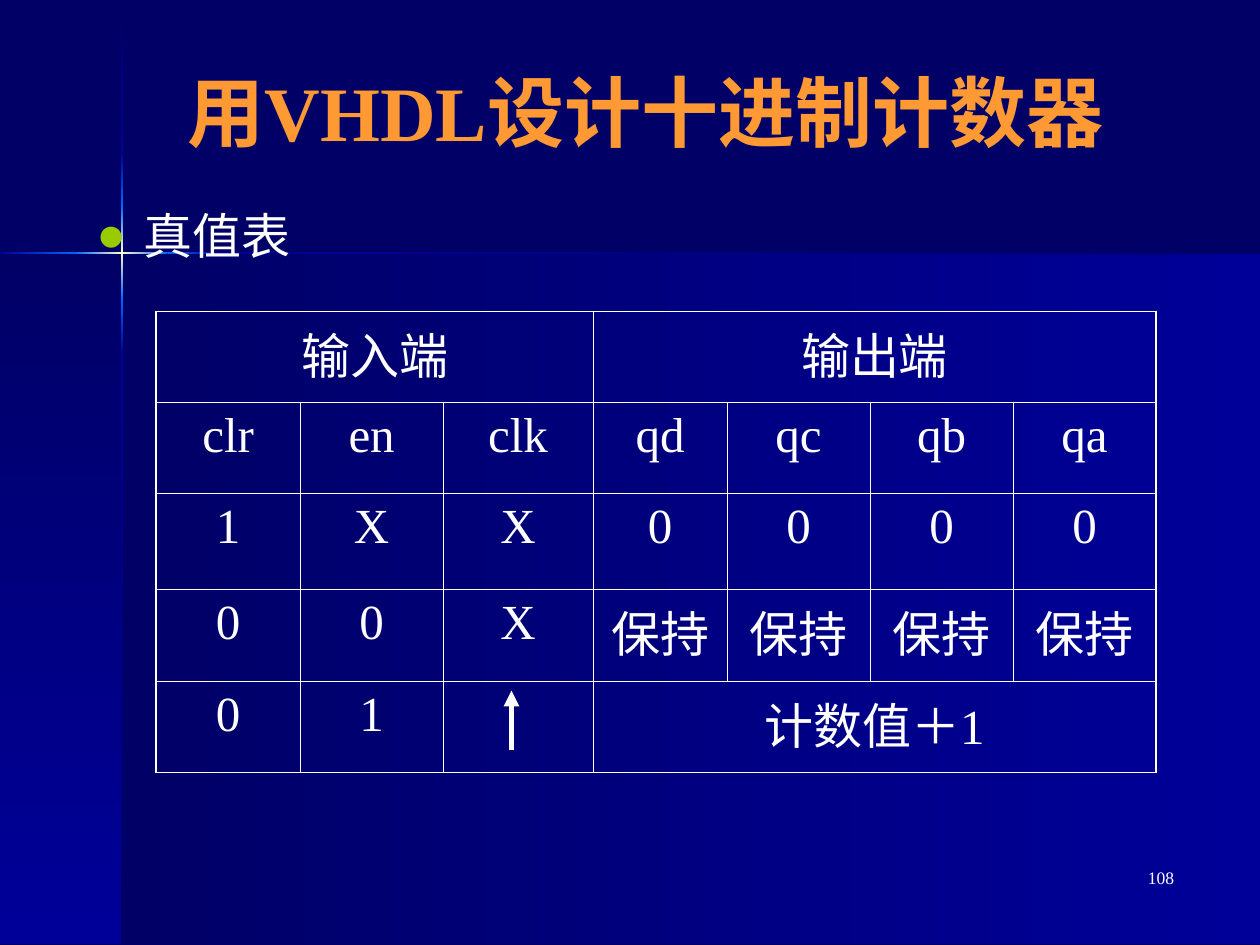
"""Build the slide with the truth table of a decimal counter."""
from lxml import etree
from pptx import Presentation
from pptx.dml.color import RGBColor
from pptx.enum import shapes, text
from pptx.oxml import ns, parse_xml
from pptx.util import Pt

FACE = "Times New Roman"
WHITE, ORANGE, LIME = "FFFFFF", "FF9933", "99CC00"
NAVY, ROYAL, AZURE, CREAM = "000066", "000099", "0066FF", "FFFFCC"
ACROSS, DOWN = 0, 90

TITLE = "用VHDL设计十进制计数器"
TOPIC = "真值表"
PAGE = "108"
TRUTH = [
    ["输入端", None, None, "输出端", None, None, None],
    ["clr", "en", "clk", "qd", "qc", "qb", "qa"],
    ["1", "X", "X", "0", "0", "0", "0"],
    ["0", "0", "X", "保持", "保持", "保持", "保持"],
    ["0", "1", "", "计数值＋1", None, None, None],
]
COLUMNS = [82.3, 81.7, 85.7, 76.6, 81.7, 81.7, 81.7]
ROWS = [52, 52, 55, 52.5, 52]
TABLE_LEFT, TABLE_TOP = 89.2, 178
THIN, THICK = 0.45, 1.08

PANELS = [
    (70, 144.7, 650, 394.6, ACROSS, [NAVY, ROYAL]),
    (0, 144.7, 70, 394.6, DOWN, [NAVY, ROYAL]),
]
BEAM = 1.4
VERTICAL_X, HORIZONTAL_Y = 69.1, 144
VERTICAL = [
    (0, 87, [NAVY, ROYAL]),
    (202.3, 539.3, [ROYAL, NAVY]),
    (170.6, 202.3, [AZURE, ROYAL]),
    (87, 118, [ROYAL, AZURE]),
    (118, 170.6, [AZURE, CREAM, AZURE]),
]
HORIZONTAL = [
    (127.4, 720, [ROYAL, NAVY]),
    (0, 43.5, [ROYAL, AZURE]),
    (95.8, 127.4, [AZURE, ROYAL]),
    (43.5, 95.8, [AZURE, CREAM, AZURE]),
]


def color(value):
    return RGBColor.from_string(value)


def add_xml(parent, markup):
    parent.append(parse_xml(markup.replace(" ", f" {ns.nsdecls('a')} ", 1)))


def add_panel(slide, left, top, width, height, angle, colors):
    panel = slide.shapes.add_shape(
        shapes.MSO_SHAPE.RECTANGLE, Pt(left), Pt(top), Pt(width), Pt(height))
    panel.shadow.inherit = False
    panel.line.fill.background()
    stops = "".join(
        f'<a:gs pos="{100000 * i // (len(colors) - 1)}"><a:srgbClr val="{c}"/></a:gs>'
        for i, c in enumerate(colors))
    gradient = parse_xml(
        f'<a:gradFill {ns.nsdecls("a")} rotWithShape="1"><a:gsLst>{stops}</a:gsLst>'
        f'<a:lin ang="{angle * 60000}" scaled="0"/></a:gradFill>')
    panel.element.spPr.insert(2, gradient)


def write(paragraph, words, size, hue=WHITE, align=text.PP_ALIGN.CENTER, bold=False):
    paragraph.text = words
    paragraph.alignment = align
    font = paragraph.font
    font.name, font.size, font.bold = FACE, Pt(size), bold
    font.color.rgb = color(hue)


def add_text(slide, left, top, width, height, anchor=text.MSO_ANCHOR.TOP):
    frame = slide.shapes.add_textbox(Pt(left), Pt(top), Pt(width), Pt(height)).text_frame
    frame.word_wrap = True
    frame.vertical_anchor = anchor
    return frame.paragraphs[0]


def add_borders(cell, row, first, last):
    outer = {"L": first == 0, "R": last == len(COLUMNS) - 1,
             "T": row == 0, "B": row == len(ROWS) - 1}
    for side, is_outer in outer.items():
        width = Pt(THICK if is_outer else THIN)
        add_xml(cell._tc.get_or_add_tcPr(),
                f'<a:ln{side} w="{width}"><a:solidFill><a:srgbClr val="{WHITE}"/>'
                f'</a:solidFill></a:ln{side}>')


def add_truth_table(slide):
    table = slide.shapes.add_table(
        len(ROWS), len(COLUMNS), Pt(TABLE_LEFT), Pt(TABLE_TOP),
        Pt(sum(COLUMNS)), Pt(sum(ROWS))).table
    table.first_row = table.horz_banding = False
    for column, width in zip(table.columns, COLUMNS):
        column.width = Pt(width)
    for row, height in zip(table.rows, ROWS):
        row.height = Pt(height)
    for r, entries in enumerate(TRUTH):
        for c, entry in enumerate(entries):
            if entry is None:
                continue
            last = c
            while last + 1 < len(entries) and entries[last + 1] is None:
                last += 1
            cell = table.cell(r, c)
            if last > c:
                cell.merge(table.cell(r, last))
            add_borders(cell, r, c, last)
            cell.fill.background()
            write(cell.text_frame.paragraphs[0], entry, 28)


def add_clock_edge(slide):
    edge = slide.shapes.add_connector(
        shapes.MSO_CONNECTOR.STRAIGHT, Pt(292.3), Pt(428.4), Pt(292.3), Pt(394.6))
    edge.line.color.rgb = color(WHITE)
    edge.line.width = Pt(3)
    add_xml(edge.line._get_or_add_ln(), '<a:tailEnd type="triangle"/>')
    etree.SubElement(edge.element.spPr, ns.qn("a:effectLst"))


def main():
    deck = Presentation()
    deck.slide_width, deck.slide_height = Pt(720), Pt(540)
    slide = deck.slides.add_slide(deck.slide_layouts[6])
    slide.background.fill.solid()
    slide.background.fill.fore_color.rgb = color(NAVY)

    for panel in PANELS:
        add_panel(slide, *panel)
    for start, end, colors in VERTICAL:
        add_panel(slide, VERTICAL_X, start, BEAM, end - start, DOWN, colors)
    for start, end, colors in HORIZONTAL:
        add_panel(slide, start, HORIZONTAL_Y, end - start, BEAM, ACROSS, colors)

    write(add_text(slide, 528, 492, 150, 36), PAGE, 10, align=text.PP_ALIGN.RIGHT)
    write(add_text(slide, 48, 24, 642, 78, text.MSO_ANCHOR.MIDDLE),
          TITLE, 44, ORANGE, bold=True)

    topic = add_text(slide, 48, 114, 131, 52)
    layout = topic._p.get_or_add_pPr()
    layout.set("marL", str(Pt(27)))
    layout.set("indent", str(Pt(-27)))
    add_xml(layout, f'<a:buClr ><a:srgbClr val="{LIME}"/></a:buClr>')
    add_xml(layout, f'<a:buFont typeface="{FACE}"/>')
    add_xml(layout, '<a:buChar char="●"/>')
    write(topic, TOPIC, 28, align=text.PP_ALIGN.LEFT)

    add_truth_table(slide)
    add_clock_edge(slide)
    deck.save("out.pptx")


if __name__ == "__main__":
    main()
